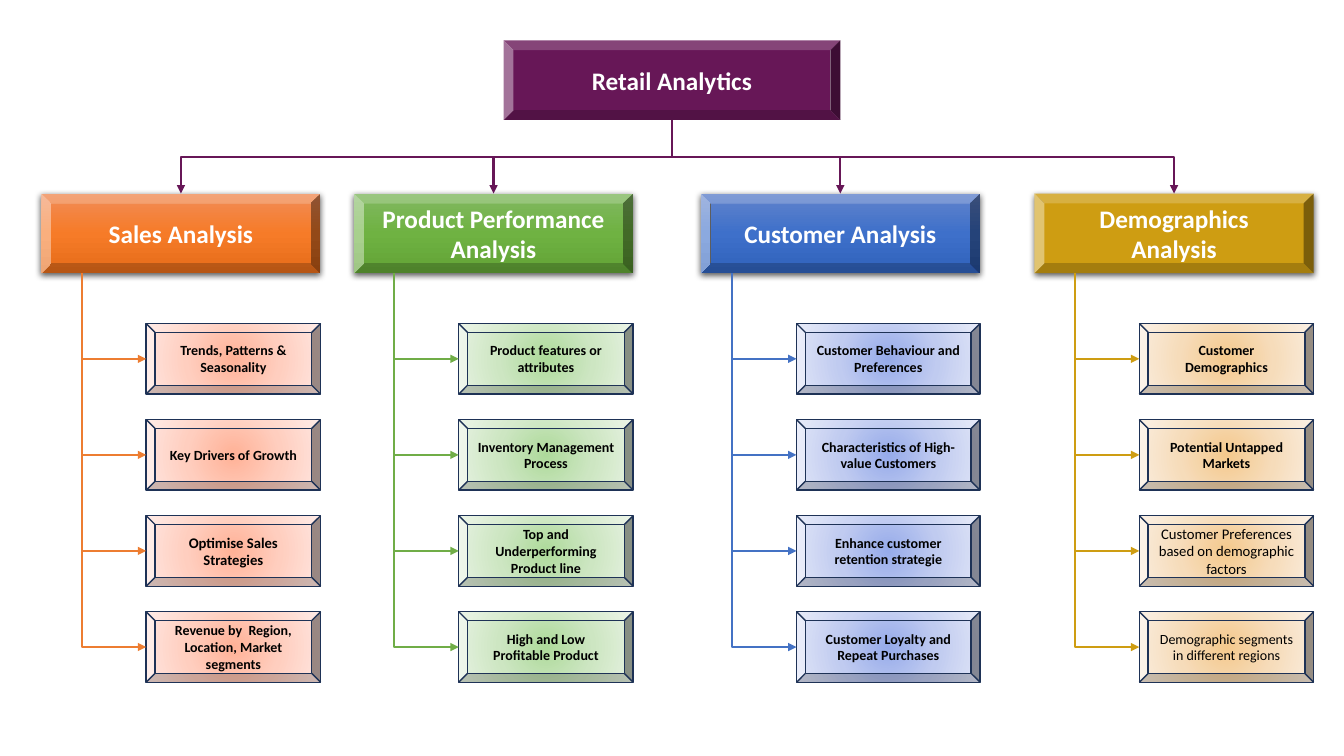
from pptx import Presentation
from pptx.dml.color import RGBColor
from pptx.enum.shapes import MSO_CONNECTOR, MSO_SHAPE
from pptx.enum.text import MSO_ANCHOR, PP_ALIGN
from pptx.oxml import parse_xml
from pptx.oxml.ns import nsdecls, qn
from pptx.util import Inches, Pt

# Content: each branch has a heading and topics (text, size, bold)
ROOT = "Retail Analytics"
BRANCHES = [
    ("Sales Analysis", "sales", [
        ("Trends, Patterns & Seasonality", 10, True),
        ("Key Drivers of Growth", 10, True),
        ("Optimise Sales Strategies", 10.5, True),
        ("Revenue by  Region, Location, Market segments", 10, True)]),
    ("Product Performance Analysis", "product", [
        ("Product features or attributes", 10, True),
        ("Inventory Management Process", 10, True),
        ("Top and Underperforming Product line", 10, True),
        ("High and Low Profitable Product", 10, True)]),
    ("Customer Analysis", "customer", [
        ("Customer Behaviour and Preferences", 10, True),
        ("Characteristics of High-value Customers", 10, True),
        ("Enhance customer retention strategie", 10, True),
        ("Customer Loyalty and Repeat Purchases", 10, True)]),
    ("Demographics Analysis", "demographics", [
        ("Customer Demographics", 10, True),
        ("Potential Untapped Markets", 10, True),
        ("Customer Preferences based on demographic factors", 10.5, False),
        ("Demographic segments in different regions", 10, False)]),
]

COLORS = {"root": "671757", "outline": "1E3256", "white": "FFFFFF", "black": "000000",
          "sales": "ED7D31", "product": "70AD47",
          "customer": "4472C4", "demographics": "CE9D12"}
HEADING_FILLS = {"sales": ["F18C57", "F67B28", "E56C19"],
                 "product": ["81B861", "6FB242", "62A336"],
                 "customer": ["6183CB", "3E70CA", "3062BB"],
                 "demographics": ["CE9D12"]}
TOPIC_FILLS = {"sales": ["FFB297", "FFCEBF", "FFE6E0"],
               "product": ["AEDA9B", "CDE6C2", "E6F2E1"],
               "customer": ["96ABEA", "C0CBF0", "E0E5F7"],
               "demographics": ["F4C98D", "F6DCBA", "FAEDDE"]}

# Layout in inches
SLIDE_W, SLIDE_H = 13.33, 7.5
ROOT_W, ROOT_TOP = 3.34, 0.4
BOX_H, HEADING_W, HEADING_TOP = 0.79, 2.77, 1.92
HEADING_LEFT = {"sales": 0.41, "product": 3.51, "customer": 6.95, "demographics": 10.26}
TRUNK_INDENT, BRANCH_REACH = 0.4, 0.64
TOPIC_TOP, TOPIC_H, TOPIC_PITCH = 3.21, 0.7, 0.953

LINEAR = '<a:lin ang="5400000" scaled="0"/>'
RADIAL = ('<a:path path="circle"><a:fillToRect l="50000" t="50000" '
          'r="50000" b="50000"/></a:path>')

prs = Presentation()
prs.slide_width, prs.slide_height = Inches(SLIDE_W), Inches(SLIDE_H)
shapes = prs.slides.add_slide(prs.slide_layouts[6]).shapes


def paint(box, fills, direction):
    """Fill with one colour, or with evenly spaced gradient stops."""
    if len(fills) == 1:
        box.fill.solid()
        box.fill.fore_color.rgb = RGBColor.from_string(fills[0])
        return
    step = 100000 // (len(fills) - 1)
    stops = "".join(f'<a:gs pos="{i * step}"><a:srgbClr val="{color}"/></a:gs>'
                    for i, color in enumerate(fills))
    gradient = parse_xml(f'<a:gradFill {nsdecls("a")} rotWithShape="1">'
                         f'<a:gsLst>{stops}</a:gsLst>{direction}</a:gradFill>')
    box.fill.background()
    properties = box._element.spPr
    properties.replace(properties.find(qn("a:noFill")), gradient)


def add_bevel(text, left, top, width, height, fills, size, bold=True,
              color="white", direction=LINEAR, outline=None):
    box = shapes.add_shape(MSO_SHAPE.BEVEL, *map(Inches, (left, top, width, height)))
    box.shadow.inherit = False
    paint(box, fills, direction)
    if outline:
        box.line.color.rgb = RGBColor.from_string(COLORS[outline])
        box.line.width = Pt(1)
    else:
        box.line.fill.background()
    frame = box.text_frame
    frame.word_wrap = True
    frame.vertical_anchor = MSO_ANCHOR.MIDDLE
    paragraph = frame.paragraphs[0]
    paragraph.text = text
    paragraph.alignment = PP_ALIGN.CENTER
    font = paragraph.font
    font.name, font.size, font.bold = "Calibri", Pt(size), bold
    font.color.rgb = RGBColor.from_string(COLORS[color])
    return box


def drop_shadow(box):
    box._element.spPr.find(qn("a:effectLst")).append(parse_xml(
        f'<a:outerShdw {nsdecls("a")} blurRad="{Pt(4.5)}" dist="{Pt(1.5)}" dir="5400000" '
        'algn="ctr" rotWithShape="0"><a:srgbClr val="000000"><a:alpha val="63000"/>'
        '</a:srgbClr></a:outerShdw>'))


def add_elbow(start_x, start_y, end_x, end_y, color, preset):
    """Elbow arrow that leaves downwards: a sideways elbow, turned a quarter."""
    drop, reach = end_y - start_y, abs(end_x - start_x)
    left = (start_x + end_x - drop) / 2
    top = (start_y + end_y - reach) / 2
    near, far = left, left + drop
    rightward = end_x > start_x
    if rightward:
        near, far = far, near
    arrow = shapes.add_connector(MSO_CONNECTOR.ELBOW,
                                 *map(Inches, (near, top, far, top + reach)))
    arrow.line.color.rgb = RGBColor.from_string(COLORS[color])
    arrow.line.width = Pt(1.5)
    properties = arrow._element.spPr
    properties.find(qn("a:xfrm")).set("rot", "16200000" if rightward else "5400000")
    properties.find(qn("a:prstGeom")).set("prst", preset)
    properties.find(qn("a:ln")).append(
        parse_xml(f'<a:tailEnd {nsdecls("a")} type="triangle"/>'))
    properties.append(parse_xml(f'<a:effectLst {nsdecls("a")}/>'))


# Root
add_bevel(ROOT, (SLIDE_W - ROOT_W) / 2, ROOT_TOP, ROOT_W, BOX_H, [COLORS["root"]], 18)

# Branches with their topics
for heading, theme, topics in BRANCHES:
    left = HEADING_LEFT[theme]
    drop_shadow(add_bevel(heading, left, HEADING_TOP, HEADING_W, BOX_H,
                          HEADING_FILLS[theme], 18))
    add_elbow(SLIDE_W / 2, ROOT_TOP + BOX_H, left + HEADING_W / 2, HEADING_TOP,
              "root", "bentConnector3")

    trunk = left + TRUNK_INDENT
    if theme == "customer":  # wider topics start further left
        trunk -= 0.09
    topic_left = trunk + BRANCH_REACH
    topic_w = left + HEADING_W - topic_left
    for row, (topic, size, bold) in enumerate(topics):
        top = TOPIC_TOP + row * TOPIC_PITCH
        add_bevel(topic, topic_left, top, topic_w, TOPIC_H, TOPIC_FILLS[theme],
                  size, bold, "black", RADIAL, "outline")
        add_elbow(trunk, HEADING_TOP + BOX_H, topic_left, top + TOPIC_H / 2,
                  theme, "bentConnector2")

prs.save("out.pptx")
